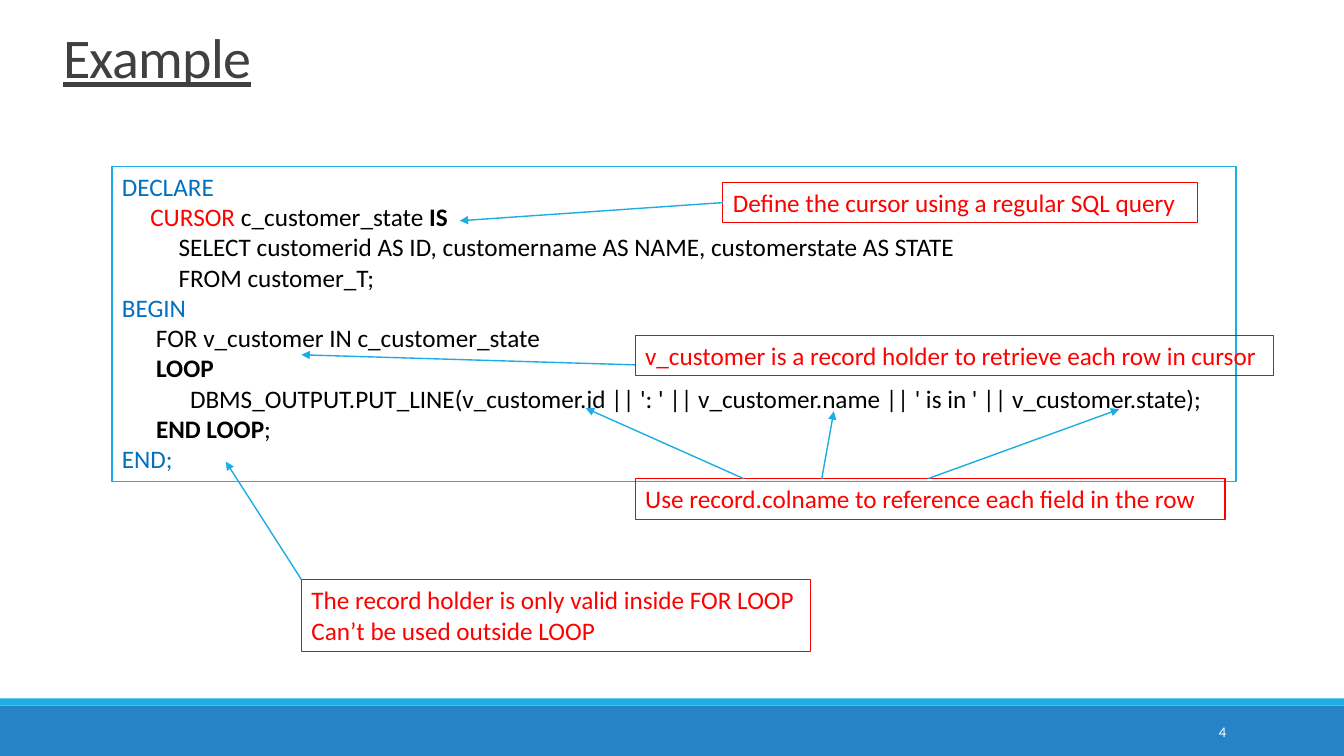
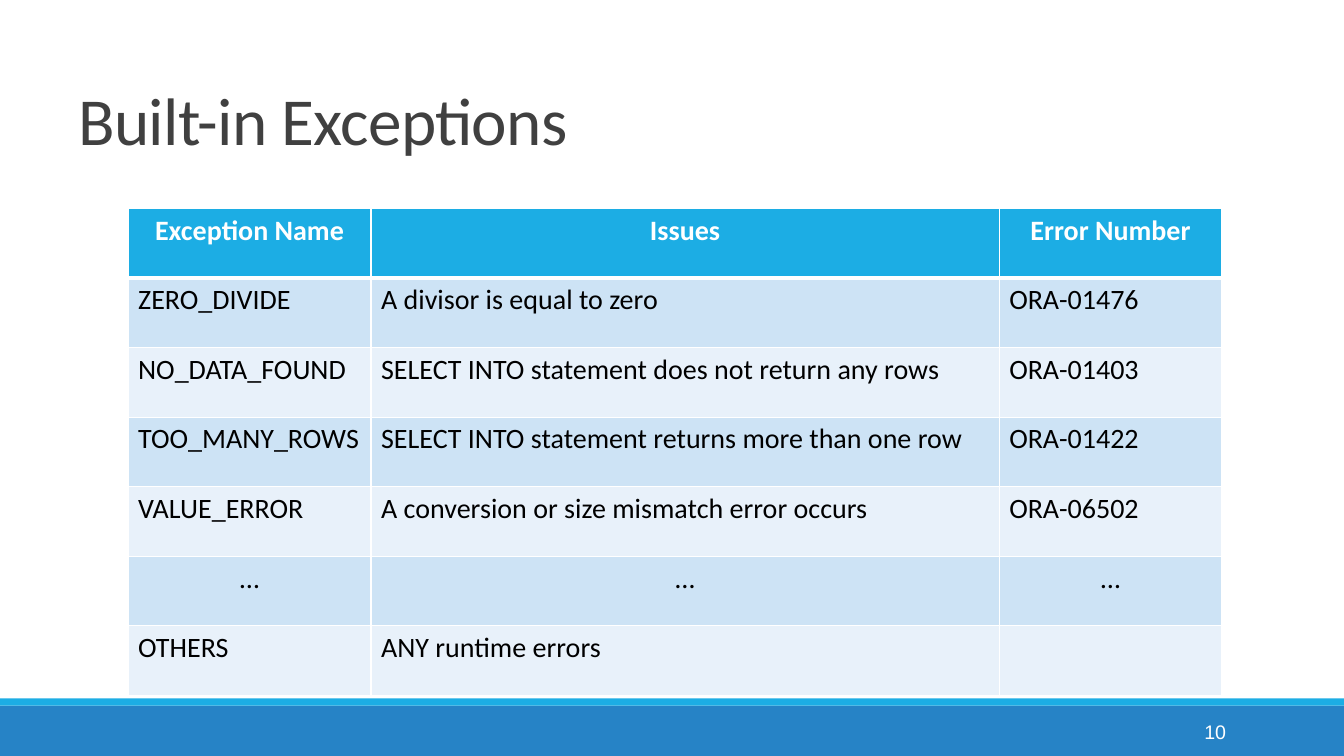
from dataclasses import dataclass
from lxml import etree
from pptx import Presentation
from pptx.dml.color import RGBColor
from pptx.enum.shapes import MSO_CONNECTOR, MSO_SHAPE
from pptx.enum.text import MSO_ANCHOR, PP_ALIGN
from pptx.oxml.ns import qn
from pptx.util import Pt

EMU_PER_PX = 9144  # 100 px to the inch
WIDTH, HEIGHT = 1333, 750


def px(length):
    return length * EMU_PER_PX


@dataclass(frozen=True)
class Theme:
    font: str = "Calibri"
    white: str = "FFFFFF"
    black: str = "000000"
    title: str = "404040"
    accent: str = "1CADE4"
    band: str = "2683C6"
    keyword: str = "0070C0"
    callout: str = "FF0000"
    row_dark: str = "CDE3F5"
    row_light: str = "E8F1FA"
    body_size: int = 18
    table_size: int = 20


THEME = Theme()


def rgb(color):
    return RGBColor.from_string(color)


class Deck:
    """Holds the presentation, its style and the current slide."""

    def __init__(self, theme):
        self.theme = theme
        self.presentation = Presentation()
        self.presentation.slide_width = px(WIDTH)
        self.presentation.slide_height = px(HEIGHT)
        self.slide = None

    def new_slide(self, number, number_size, number_font):
        layout = self.presentation.slide_layouts[6]
        self.slide = self.presentation.slides.add_slide(layout)
        self.bar(700, 50, self.theme.band)
        self.bar(693, 7, self.theme.accent)
        self.text((1083, 706, 143, 40), [number], number_size, self.theme.white,
                  font=number_font, align=PP_ALIGN.RIGHT, anchor=MSO_ANCHOR.MIDDLE)

    def bar(self, top, height, color):
        shape = self.slide.shapes.add_shape(
            MSO_SHAPE.RECTANGLE, 0, px(top), px(WIDTH), px(height))
        shape.shadow.inherit = False
        shape.fill.solid()
        shape.fill.fore_color.rgb = rgb(color)
        shape.line.fill.background()

    def style(self, paragraph, size, color, font=None, bold=False, align=None):
        paragraph.font.name = font or self.theme.font
        paragraph.font.size = Pt(size)
        paragraph.font.color.rgb = rgb(color)
        paragraph.font.bold = bold
        paragraph.alignment = align

    def text(self, box, lines, size, color, font=None, align=None,
             anchor=MSO_ANCHOR.TOP):
        """Each line is a string, or a list of (text, color, bold) runs."""
        shape = self.slide.shapes.add_textbox(*map(px, box))
        frame = shape.text_frame
        frame.word_wrap = True
        frame.vertical_anchor = anchor
        for index, line in enumerate(lines):
            paragraph = frame.add_paragraph() if index else frame.paragraphs[0]
            self.style(paragraph, size, color, font, align=align)
            if isinstance(line, str):
                paragraph.add_run().text = line
                continue
            for words, run_color, bold in line:
                run = paragraph.add_run()
                run.text = words
                run.font.color.rgb = rgb(run_color)
                run.font.bold = bold
        return shape

    def title(self, box, words, size, anchor, underline=False):
        shape = self.text(box, [words], size, self.theme.title, anchor=anchor)
        paragraph = shape.text_frame.paragraphs[0]
        paragraph.line_spacing = 0.85
        paragraph.font.underline = underline
        # Tighten the letters by half a point
        paragraph.runs[0].font._element.set("spc", "-50")

    def framed(self, box, lines, text_color, line_color, line_width):
        shape = self.text(box, lines, self.theme.body_size, text_color)
        shape.line.color.rgb = rgb(line_color)
        shape.line.width = Pt(line_width)

    def callout(self, box, *lines):
        self.framed(box, lines, self.theme.callout, self.theme.callout, 0.75)

    def arrow(self, start, end):
        connector = self.slide.shapes.add_connector(
            MSO_CONNECTOR.STRAIGHT, *map(px, start + end))
        connector.line.color.rgb = rgb(self.theme.accent)
        connector.line.width = Pt(1)
        line = connector.line._get_or_add_ln()
        etree.SubElement(line, qn("a:tailEnd"), type="triangle")
        etree.SubElement(connector._element.spPr, qn("a:effectLst"))

    def cell_borders(self, cell, widths):
        properties = cell._tc.get_or_add_tcPr()
        for side, width in zip("LRTB", widths):
            line = etree.SubElement(properties, qn(f"a:ln{side}"), w=str(Pt(width)))
            fill = etree.SubElement(line, qn("a:solidFill"))
            etree.SubElement(fill, qn("a:srgbClr"), val=self.theme.white)

    def table(self, left, top, column_widths, row_height, rows):
        theme = self.theme
        table = self.slide.shapes.add_table(
            len(rows), len(column_widths), px(left), px(top),
            px(sum(column_widths)), px(row_height * len(rows))).table
        table.horz_banding = False
        for column, width in zip(table.columns, column_widths):
            column.width = px(width)
        for row_index, row in enumerate(rows):
            header = row_index == 0
            fill = theme.row_dark if row_index % 2 else theme.row_light
            for column_index, words in enumerate(row):
                cell = table.cell(row_index, column_index)
                cell.text = words
                centred = header or words == "…"
                self.style(cell.text_frame.paragraphs[0], theme.table_size,
                           theme.white if header else theme.black, bold=header,
                           align=PP_ALIGN.CENTER if centred else PP_ALIGN.LEFT)
                # The rule under the header is thicker than the others
                self.cell_borders(cell, (1, 1, 3 if row_index == 1 else 1,
                                         3 if header else 1))
                cell.fill.solid()
                cell.fill.fore_color.rgb = rgb(theme.accent if header else fill)


def keyword(words):
    return [(words, THEME.keyword, False)]


def bold(words):
    return (words, THEME.black, True)


def plain(words):
    return (words, THEME.black, False)


CODE = [
    keyword("DECLARE"),
    [plain("     "), ("CURSOR ", THEME.callout, False),
     plain("c_customer_state "), bold("IS")],
    "          SELECT customerid AS ID, customername AS NAME, customerstate AS STATE",
    "          FROM customer_T;",
    keyword("BEGIN"),
    "      FOR v_customer IN c_customer_state",
    [plain("      "), bold("LOOP")],
    "            DBMS_OUTPUT.PUT_LINE(v_customer.id || ': ' || v_customer.name"
    " || ' is in ' || v_customer.state);",
    [plain("      "), bold("END LOOP"), plain(";")],
    keyword("END;"),
]

EXCEPTIONS = [
    ("Exception Name", "Issues", "Error Number"),
    ("ZERO_DIVIDE", "A divisor is equal to zero", "ORA-01476"),
    ("NO_DATA_FOUND", "SELECT INTO statement does not return any rows", "ORA-01403"),
    ("TOO_MANY_ROWS", "SELECT INTO statement returns more than one row", "ORA-01422"),
    ("VALUE_ERROR", "A conversion or size mismatch error occurs", "ORA-06502"),
    ("…", "…", "…"),
    ("OTHERS", "ANY runtime errors", ""),
]

ARROWS = [
    ((717, 201), (456, 219)),
    ((630, 362), (299, 352)),
    ((299, 575), (224, 458)),
    ((738, 475), (581, 405)),
    ((815, 475), (827, 408)),
    ((920, 475), (1110, 406)),
]


def main():
    deck = Deck(THEME)

    # Cursor example: code with callouts
    deck.new_slide("4", 10.5, THEME.font)
    deck.title((53, 28, 697, 82), "Example", 40, MSO_ANCHOR.TOP, underline=True)
    deck.framed((111, 165, 1115, 313), CODE, THEME.black, THEME.accent, 1)
    deck.callout((717, 181, 471, 40), "Define the cursor using a regular SQL query")
    deck.callout((630, 333, 633, 40),
                 "v_customer is a record holder to retrieve each row in cursor")
    deck.callout((299, 575, 505, 71),
                 "The record holder is only valid inside FOR LOOP",
                 "Can’t be used outside LOOP")
    deck.callout((630, 475, 585, 40),
                 "Use record.colname to reference each field in the row")
    for start, end in ARROWS:
        deck.arrow(start, end)

    # Table of exceptions
    deck.new_slide("10", 14, "Arial")
    deck.title((68, 4, 1100, 159), "Built-in Exceptions", 48, MSO_ANCHOR.BOTTOM)
    deck.table(127, 207, (241, 623, 221), 69, EXCEPTIONS)

    deck.presentation.save("out.pptx")


if __name__ == "__main__":
    main()
